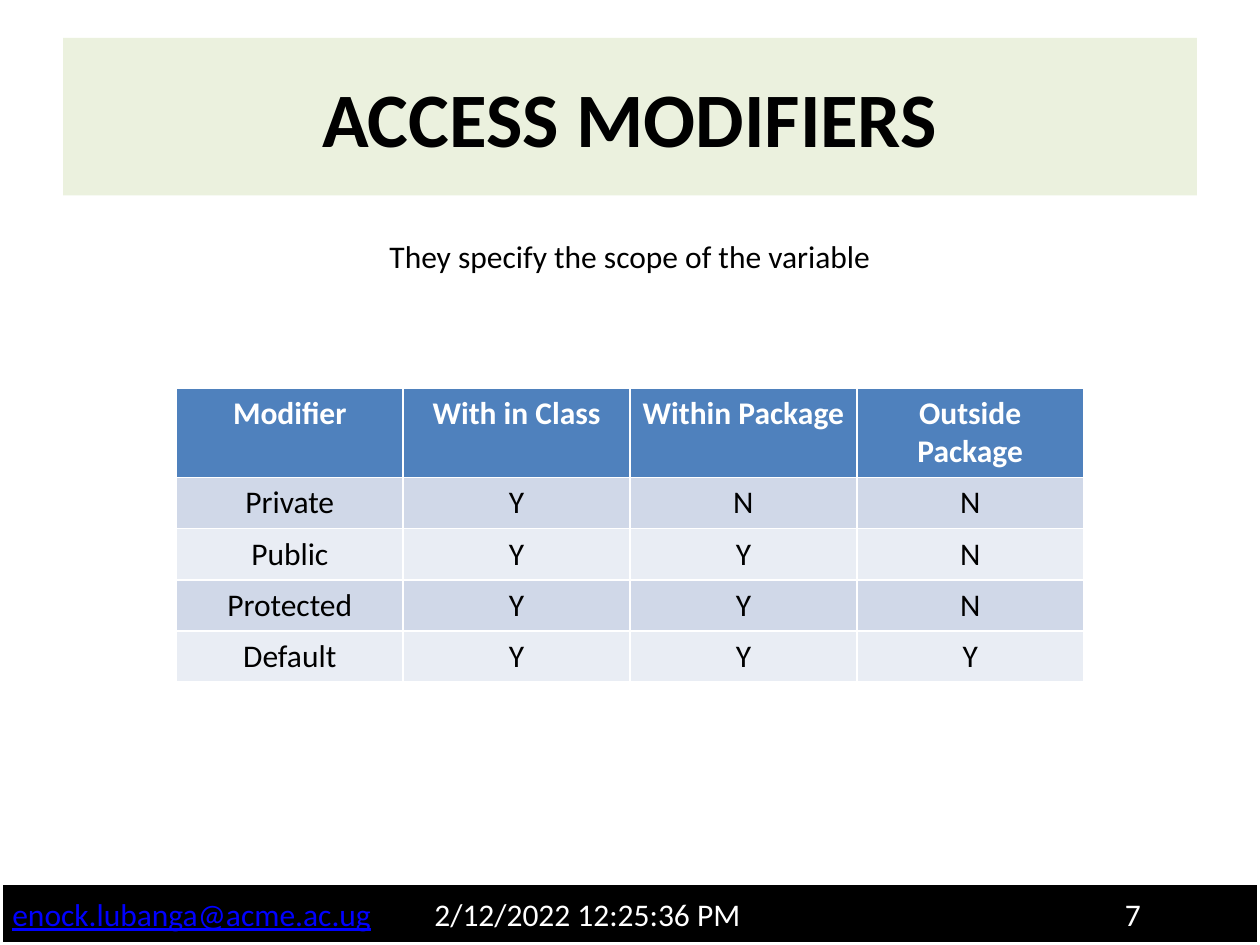
import pptx
import pptx.dml.color
import pptx.enum.shapes
import pptx.enum.text
import pptx.oxml.ns
import pptx.util
from lxml import etree

Inches = pptx.util.Inches
Pt = pptx.util.Pt
CENTER = pptx.enum.text.PP_ALIGN.CENTER
MIDDLE = pptx.enum.text.MSO_ANCHOR.MIDDLE

TITLE = "ACCESS MODIFIERS"
SUBTITLE = "They specify the scope of the variable"
HEADER = ("Modifier", "With in Class", "Within Package", "Outside Package")
SCOPES = (
    ("Private", "Y", "N", "N"),
    ("Public", "Y", "Y", "N"),
    ("Protected", "Y", "Y", "N"),
    ("Default", "Y", "Y", "Y"),
)
EMAIL = "enock.lubanga@acme.ac.ug"
FOOTER_FIELDS = ("2/12/2022 12:25:36 PM", "7")
FOOTER_TABS = (3.35, 8.83)
COLORS = {
    "black": "000000", "white": "FFFFFF", "link": "0000FF", "title": "EBF1DE",
    "header": "4F81BD", "odd": "D0D8E8", "even": "E9EDF4",
}


def rgb(name):
    return pptx.dml.color.RGBColor.from_string(COLORS[name])


def fill_solid(target, color):
    target.fill.solid()
    target.fill.fore_color.rgb = rgb(color)


def format_run(run, color, size=18, bold=False, underline=False):
    run.font.name = "Calibri"
    run.font.size = Pt(size)
    run.font.bold = bold
    run.font.underline = underline
    run.font.color.rgb = rgb(color)


def set_centered_text(text_frame, text, color, **font):
    text_frame.text = text
    paragraph = text_frame.paragraphs[0]
    paragraph.alignment = CENTER
    format_run(paragraph.runs[0], color, **font)


def add_footer(slide):
    footer = slide.shapes.add_shape(
        pptx.enum.shapes.MSO_SHAPE.RECTANGLE, 0, Inches(7), Inches(10), Inches(0.5))
    footer.shadow.inherit = False
    fill_solid(footer, "black")
    footer.line.color.rgb = rgb("white")
    footer.line.width = Pt(3)
    footer.text_frame.vertical_anchor = MIDDLE
    paragraph = footer.text_frame.paragraphs[0]
    paragraph.alignment = pptx.enum.text.PP_ALIGN.LEFT
    qn = pptx.oxml.ns.qn
    tab_list = etree.SubElement(paragraph._p.get_or_add_pPr(), qn("a:tabLst"))
    for position in FOOTER_TABS:
        etree.SubElement(tab_list, qn("a:tab"), pos=str(Inches(position)), algn="l")
    email = paragraph.add_run()
    email.text = EMAIL
    format_run(email, "link", underline=True)
    for field in FOOTER_FIELDS:
        run = paragraph.add_run()
        run.text = "\t" + field
        format_run(run, "white")


def add_scope_table(slide):
    rows = (HEADER, *SCOPES)
    table = slide.shapes.add_table(
        len(rows), len(HEADER), Inches(1.4), Inches(3.08), Inches(7.2), Inches(2.32)).table
    for row_index, texts in enumerate(rows):
        is_header = row_index == 0
        table.rows[row_index].height = Inches(0.7 if is_header else 0.405)
        fill = "header" if is_header else ("even", "odd")[row_index % 2]
        for column_index, text in enumerate(texts):
            cell = table.cell(row_index, column_index)
            fill_solid(cell, fill)
            set_centered_text(cell.text_frame, text,
                              "white" if is_header else "black", bold=is_header)


def main():
    presentation = pptx.Presentation()
    presentation.slide_width = Inches(10)
    presentation.slide_height = Inches(7.5)
    slide = presentation.slides.add_slide(presentation.slide_layouts[5])

    title = slide.shapes.title
    title.left, title.top = Inches(0.5), Inches(0.3)
    title.width, title.height = Inches(9), Inches(1.25)
    fill_solid(title, "title")
    title.text_frame.vertical_anchor = MIDDLE
    set_centered_text(title.text_frame, TITLE, "black", size=44, bold=True)

    add_footer(slide)
    add_scope_table(slide)

    subtitle = slide.shapes.add_textbox(
        Inches(1.25), Inches(1.83), Inches(7.5), Inches(0.4))
    subtitle.text_frame.word_wrap = True
    set_centered_text(subtitle.text_frame, SUBTITLE, "black")

    presentation.save("out.pptx")


if __name__ == "__main__":
    main()
